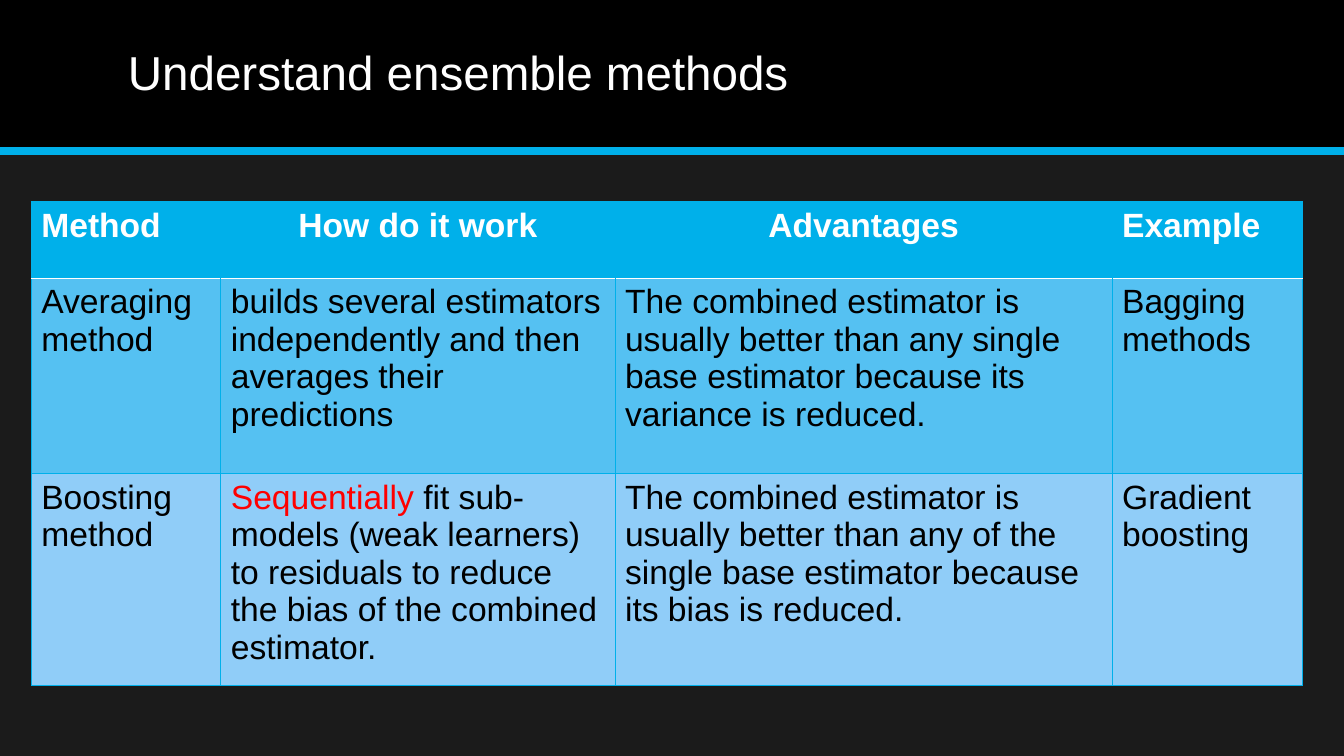
import pptx
import pptx.dml.color
import pptx.enum.shapes
import pptx.enum.text
import pptx.oxml
import pptx.oxml.ns
import pptx.util

Inches, Pt = pptx.util.Inches, pptx.util.Pt
RGBColor = pptx.dml.color.RGBColor
PP_ALIGN = pptx.enum.text.PP_ALIGN

# Content
TITLE = "Understand ensemble methods"
HEADINGS = ["Method", "How do it work", "Advantages", "Example"]
CENTRED_HEADINGS = {"How do it work", "Advantages"}
METHODS = [
    ["Averaging method",
     "builds several estimators independently and then averages their predictions",
     "The combined estimator is usually better than any single base estimator "
     "because its variance is reduced.",
     "Bagging methods"],
    ["Boosting method",
     "Sequentially fit sub-models (weak learners) to residuals to reduce the bias "
     "of the combined estimator.",
     "The combined estimator is usually better than any of the single base "
     "estimator because its bias is reduced.",
     "Gradient boosting"],
]
KEYWORD = "Sequentially"

# Format
FONT = "Arial"
WHITE = RGBColor(0xFF, 0xFF, 0xFF)
BLACK = RGBColor(0, 0, 0)
RED = RGBColor(0xFF, 0, 0)
CYAN = RGBColor(0x00, 0xB0, 0xEA)
BACKGROUND = RGBColor(0x1B, 0x1B, 0x1B)
ROW_FILLS = [CYAN, RGBColor(0x55, 0xC1, 0xF2), RGBColor(0x90, 0xCD, 0xF8)]
COLUMN_WIDTHS = [1.88, 3.91, 4.93, 1.89]
ROW_HEIGHTS = [0.76, 1.94, 1.94]
SLIDE_WIDTH, SLIDE_HEIGHT, BANNER_HEIGHT = 13.33, 7.5, 1.5


def add_text(paragraph, text, size=24, color=BLACK, bold=False, align=PP_ALIGN.LEFT):
    paragraph.alignment = align
    run = paragraph.add_run()
    run.text = text
    run.font.name = FONT
    run.font.size = Pt(size)
    run.font.bold = bold
    run.font.color.rgb = color


def set_borders(cell, borders):
    """Borders maps a side tag to (colour, points), or to None for no line."""
    properties = cell._tc.get_or_add_tcPr()
    for position, (side, style) in enumerate(borders.items()):
        color, points = style or (None, 0)
        paint = (f'<a:solidFill><a:srgbClr val="{color}"/></a:solidFill>'
                 if style else "<a:noFill/>")
        properties.insert(position, pptx.oxml.parse_xml(
            f'<a:{side} {pptx.oxml.ns.nsdecls("a")} w="{Pt(points)}">{paint}</a:{side}>'))


presentation = pptx.Presentation()
presentation.slide_width = Inches(SLIDE_WIDTH)
presentation.slide_height = Inches(SLIDE_HEIGHT)
slide = presentation.slides.add_slide(presentation.slide_layouts[6])
slide.background.fill.solid()
slide.background.fill.fore_color.rgb = BACKGROUND

# Banner and its rule
banner = slide.shapes.add_shape(
    pptx.enum.shapes.MSO_SHAPE.RECTANGLE, 0, 0, Inches(SLIDE_WIDTH), Inches(BANNER_HEIGHT))
banner.shadow.inherit = False
banner.fill.solid()
banner.fill.fore_color.rgb = BLACK
banner.line.fill.background()

rule = slide.shapes.add_connector(
    pptx.enum.shapes.MSO_CONNECTOR.STRAIGHT,
    0, Inches(BANNER_HEIGHT), Inches(SLIDE_WIDTH), Inches(BANNER_HEIGHT))
rule.line.color.rgb = CYAN
rule.line.width = Pt(6)
rule._element.spPr.append(
    pptx.oxml.parse_xml(f'<a:effectLst {pptx.oxml.ns.nsdecls("a")}/>'))

# Title
title = slide.shapes.add_textbox(
    Inches(1.17), Inches(0.14), Inches(11), Inches(1.2)).text_frame
title.word_wrap = True
title.vertical_anchor = pptx.enum.text.MSO_ANCHOR.MIDDLE
title.paragraphs[0].line_spacing = 0.9
add_text(title.paragraphs[0], TITLE, size=34, color=WHITE)

# Comparison table
comparison = slide.shapes.add_table(
    len(ROW_HEIGHTS), len(COLUMN_WIDTHS), Inches(0.31), Inches(2),
    Inches(sum(COLUMN_WIDTHS)), Inches(sum(ROW_HEIGHTS))).table
for column, width in zip(comparison.columns, COLUMN_WIDTHS):
    column.width = Inches(width)
for row, height in zip(comparison.rows, ROW_HEIGHTS):
    row.height = Inches(height)

grid_line, header_line = (CYAN, 0.5), (WHITE, 1)
last_column = len(HEADINGS) - 1
for r, texts in enumerate([HEADINGS] + METHODS):
    for c, text in enumerate(texts):
        cell = comparison.cell(r, c)
        cell.fill.solid()
        cell.fill.fore_color.rgb = ROW_FILLS[r]
        paragraph = cell.text_frame.paragraphs[0]
        if r == 0:
            align = PP_ALIGN.CENTER if text in CENTRED_HEADINGS else PP_ALIGN.LEFT
            add_text(paragraph, text, color=WHITE, bold=True, align=align)
        else:
            if text.startswith(KEYWORD):
                add_text(paragraph, KEYWORD, color=RED)
                text = text.removeprefix(KEYWORD)
            add_text(paragraph, text)
        set_borders(cell, {
            "lnL": grid_line if r or c == 0 else None,
            "lnR": grid_line if r or c == last_column else None,
            "lnT": header_line if r == 1 else grid_line,
            "lnB": header_line if r == 0 else grid_line,
        })

presentation.save("out.pptx")
